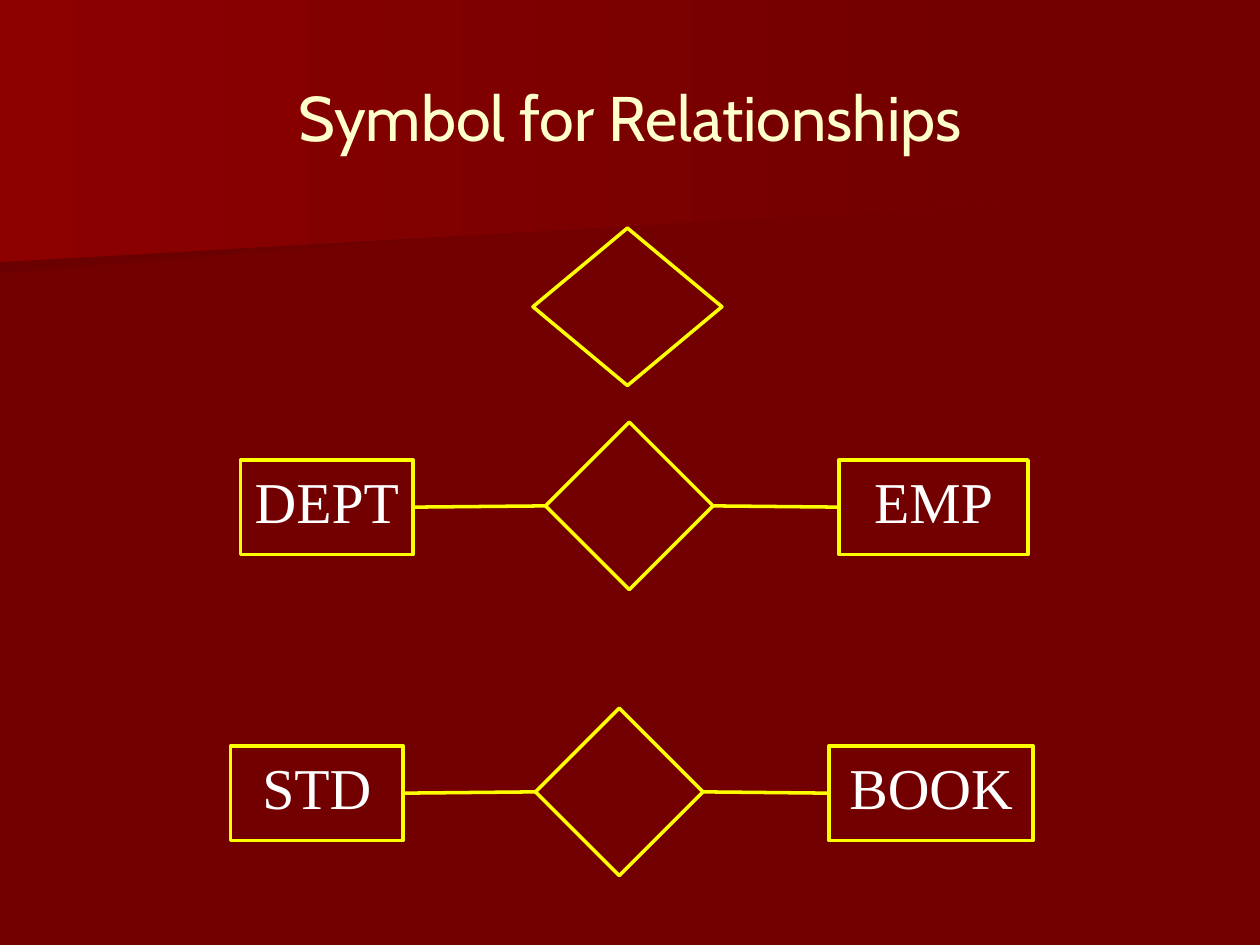
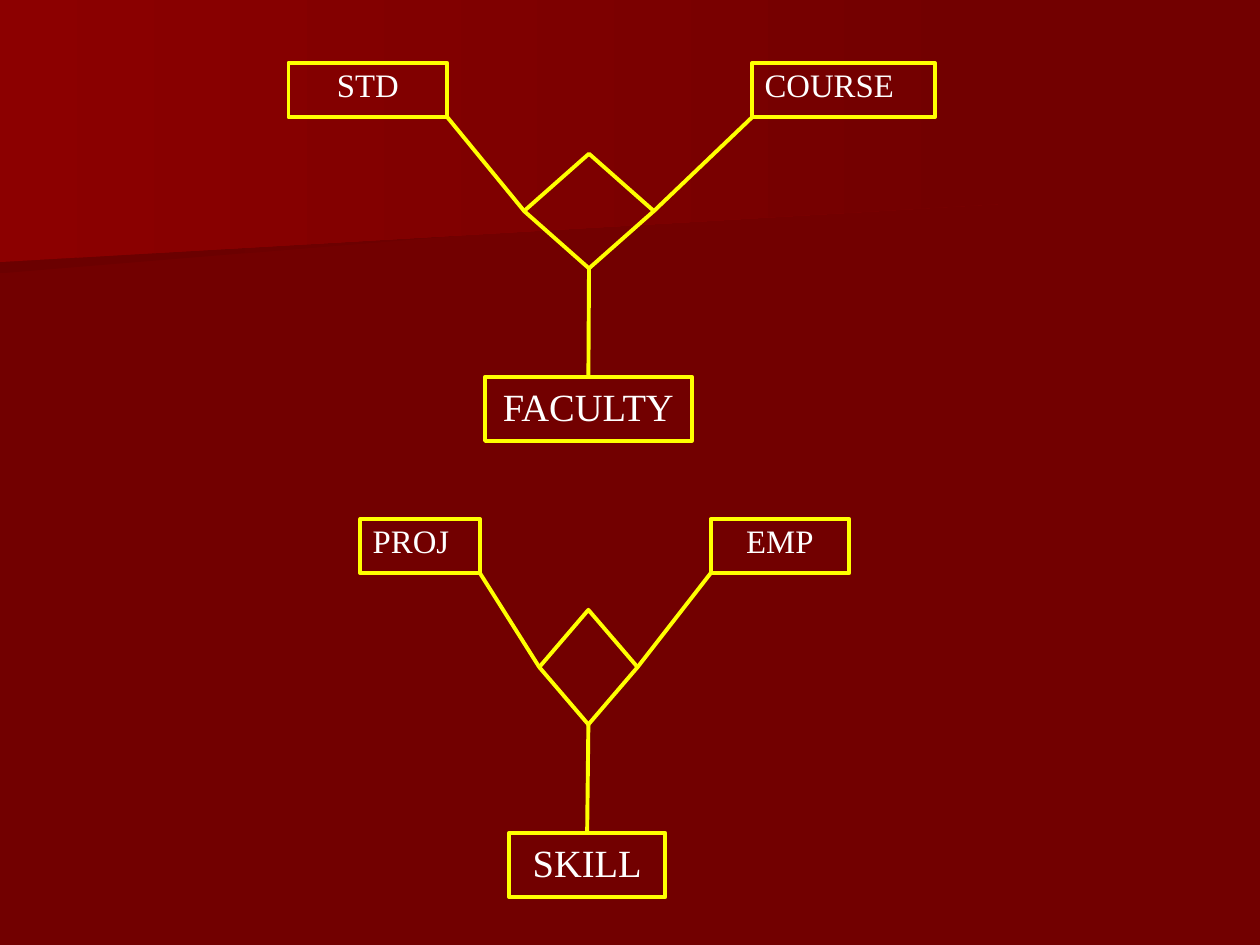
"""Builds two slides of entity-relationship diagrams showing the relationship symbol."""
import pptx
import pptx.util
import pptx.dml.color
import pptx.enum.shapes
import pptx.enum.text
import pptx.oxml
from pptx.util import Inches

COLOURS = {"ground": "720000", "glow": "8C0000", "shade": "6B0000",
           "outline": "FFFF00", "title": "FFFFCC", "label": "FFFFFF"}
BANDS = [("shade", [(7.78, 1.53), (0, 2.17), (0, 1.01), (7.79, 1.01)]),
         ("glow", [(7.92, 1.62), (0, 2.08), (0, 0), (7.92, 0)])]
TOP, LEFT, BOTTOM, RIGHT = range(4)
ALIGN = pptx.enum.text.PP_ALIGN
ANCHOR = pptx.enum.text.MSO_ANCHOR
SHAPE = pptx.enum.shapes.MSO_SHAPE


def rgb(name):
    return pptx.dml.color.RGBColor.from_string(COLOURS[name])


def apply(target, values):
    for attribute, value in values.items():
        setattr(target, attribute, value)


class Deck:
    """Holds the deck style and the current slide."""

    def __init__(self):
        self.presentation = pptx.Presentation()
        apply(self.presentation, {"slide_width": Inches(10), "slide_height": Inches(7.5)})
        ground = self.presentation.slide_master.background.fill
        ground.solid()
        ground.fore_color.rgb = rgb("ground")
        self.slide = None
        self.weight = 2

    def new_slide(self, layout, weight):
        self.slide = self.presentation.slides.add_slide(
            self.presentation.slide_layouts.get_by_name(layout))
        self.weight = weight
        for depth, (colour, corners) in enumerate(BANDS, start=2):
            self.band(colour, corners, depth)

    def band(self, colour, corners, depth):
        points = [(Inches(x), Inches(y)) for x, y in corners]
        outline = self.slide.shapes.build_freeform(*points[0])
        outline.add_line_segments(points[1:], close=True)
        band = outline.convert_to_shape()
        band.shadow.inherit = False
        band.line.fill.background()
        band.fill.gradient()
        band.fill.gradient_angle = 0
        for stop, name, position in zip(band.fill.gradient_stops, (colour, "ground"), (0, 1)):
            stop.color.rgb = rgb(name)
            stop.position = position
        self.slide.shapes.element.insert(depth, band.element)

    def text(self, frame, words, size, font, colour, align=ALIGN.CENTER, spacing=None):
        frame.text = words
        paragraph = frame.paragraphs[0]
        apply(paragraph, {"alignment": align, "line_spacing": spacing})
        apply(paragraph.runs[0].font, {"size": pptx.util.Pt(size), "name": font})
        paragraph.runs[0].font.color.rgb = rgb(colour)

    def title(self, words):
        title = self.slide.shapes.title
        apply(title, {"left": Inches(0.5), "top": Inches(0.3),
                      "width": Inches(9), "height": Inches(1.25)})
        title.text_frame.vertical_anchor = ANCHOR.MIDDLE
        self.text(title.text_frame, words, 36, "Cabin", "title")

    def stroke(self, item):
        item.line.color.rgb = rgb("outline")
        item.line.width = pptx.util.Pt(self.weight)

    def outlined(self, kind, box):
        item = self.slide.shapes.add_shape(kind, *map(Inches, box))
        item.shadow.inherit = False
        item.fill.background()
        self.stroke(item)
        return item

    def relationship(self, *box):
        return self.outlined(SHAPE.DIAMOND, box)

    def entity(self, name, box, size, **style):
        entity = self.outlined(SHAPE.RECTANGLE, box)
        apply(entity.text_frame, {"word_wrap": True, "vertical_anchor": ANCHOR.TOP})
        self.text(entity.text_frame, name, size, "Times New Roman", "label", **style)
        return entity

    def link(self, diamond, side, entity=None, entity_side=None, corner=(0, 0)):
        link = self.slide.shapes.add_connector(
            pptx.enum.shapes.MSO_CONNECTOR.STRAIGHT, 0, 0, *corner)
        link.begin_connect(diamond, side)
        if entity is not None:
            link.end_connect(entity, entity_side)
        self.stroke(link)
        properties = link.element.spPr
        properties.append(properties.makeelement(pptx.oxml.ns.qn("a:effectLst"), {}))

    def binary(self, left_name, right_name, left, top, right_width):
        diamond = self.relationship(left + 2.42, top - 0.3, 1.33, 1.33)
        first = self.entity(left_name, (left, top, 1.37, 0.75), 33)
        second = self.entity(right_name, (left + 4.75, top, right_width, 0.75), 33)
        self.link(diamond, LEFT, first, RIGHT)
        self.link(diamond, RIGHT, second, LEFT)

    def ternary(self, top, diamond_span, left, right, below):
        x, width = diamond_span
        diamond = self.relationship(x, top + 0.72, width, 0.91)
        for side, (name, x, width, align) in ((LEFT, left), (RIGHT, right)):
            entity = self.entity(name, (x, top, width, 0.43), 18.7, align=align, spacing=0.9)
            edge = entity.left + (entity.width if side == LEFT else 0)
            self.link(diamond, side, corner=(edge, entity.top + entity.height))
        name, x, width = below
        base = self.entity(name, (x, top + 2.49, width, 0.51), 22)
        self.link(diamond, BOTTOM, base, TOP)


def main():
    deck = Deck()
    deck.new_slide("Title Only", 2)
    deck.title("Symbol for Relationships")
    deck.relationship(4.23, 1.81, 1.5, 1.25)
    deck.binary("DEPT", "EMP", 1.91, 3.65, 1.5)
    deck.binary("STD", "BOOK", 1.83, 5.92, 1.62)

    deck.new_slide("Blank", 2.25)
    deck.ternary(0.5, (4.16, 1.03), ("STD", 2.29, 1.26, ALIGN.CENTER),
                 ("COURSE", 5.97, 1.45, ALIGN.LEFT), ("FACULTY", 3.85, 1.64))
    deck.ternary(4.12, (4.28, 0.78), ("PROJ", 2.86, 0.95, ALIGN.LEFT),
                 ("EMP", 5.64, 1.1, ALIGN.CENTER), ("SKILL", 4.04, 1.24))
    deck.presentation.save("out.pptx")


if __name__ == "__main__":
    main()
